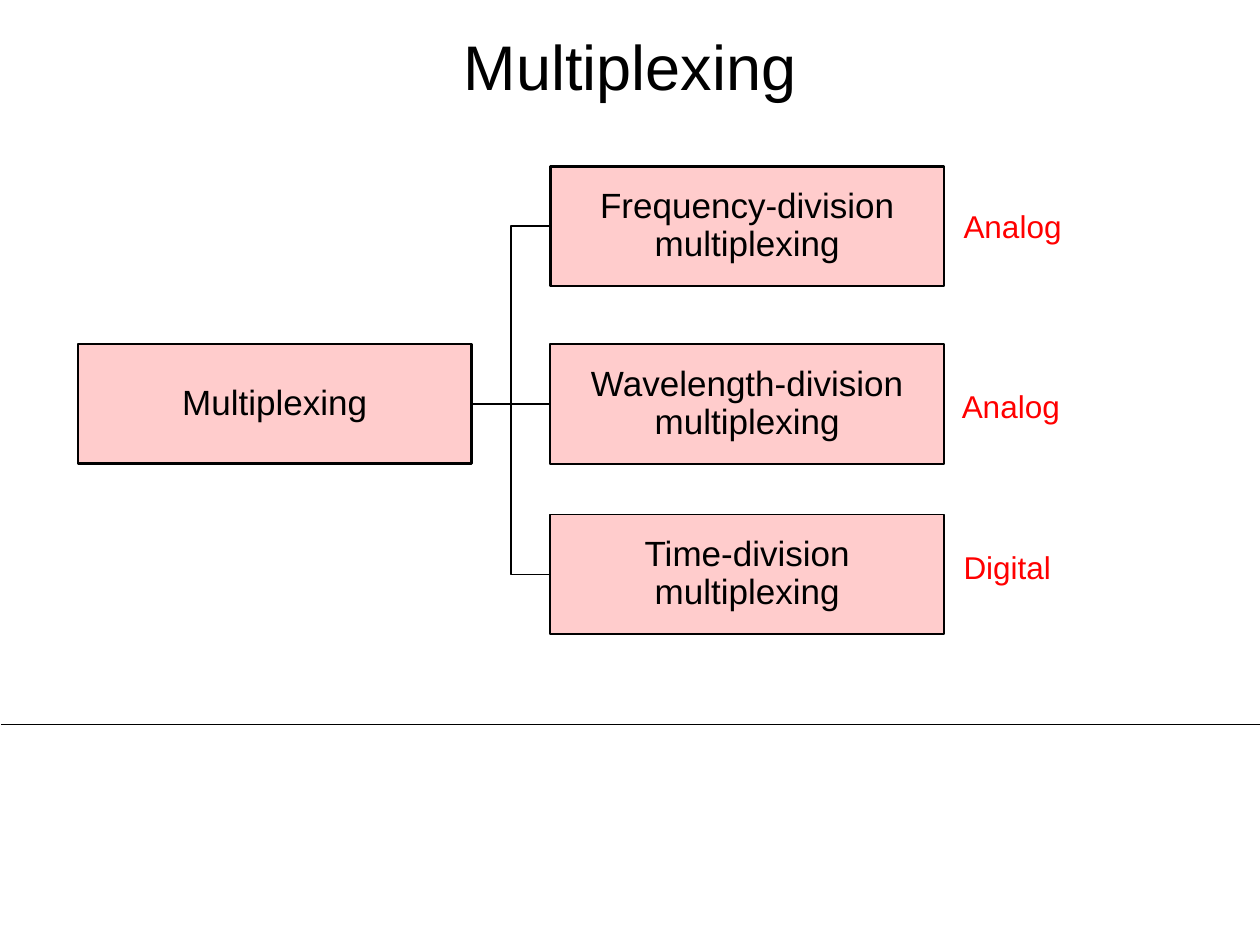
from pptx import Presentation
from pptx.dml.color import RGBColor
from pptx.enum.shapes import MSO_CONNECTOR as Link, MSO_SHAPE as Shape
from pptx.enum.text import MSO_ANCHOR as Anchor, MSO_AUTO_SIZE as Fit, PP_ALIGN as Align
from pptx.oxml.ns import qn
from pptx.util import Pt
from lxml.etree import SubElement

BLACK = RGBColor(0x00, 0x00, 0x00)
RED = RGBColor(0xFF, 0x00, 0x00)
PINK = RGBColor(0xFF, 0xCC, 0xCC)

WIDE, HIGH = 225, 68.5        # box size
ROOT, LEAF = 44.5, 314.5      # left edges of the two columns
MID = 196.5                   # top of the root and the middle leaf

# Text, top, line width, label, label left, label top
KINDS = [
    ("Frequency-division multiplexing", 95, 1.5, "Analog", 543.5, 115),
    ("Wavelength-division multiplexing", MID, 1, "Analog", 542.5, 217.5),
    ("Time-division multiplexing", 294, 1, "Digital", 543.5, 309.5),
]


def write(frame, text, size=20, color=BLACK, align=Align.CENTER,
          anchor=Anchor.MIDDLE, space=0.9, inset=None):
    """Put formatted text in a frame."""
    frame.word_wrap = True
    frame.vertical_anchor = anchor
    if inset is not None:
        frame.margin_left = frame.margin_right = Pt(inset)
        frame.margin_top = frame.margin_bottom = Pt(inset)
    para = frame.paragraphs[0]
    para.alignment = align
    para.line_spacing = space
    run = para.add_run()
    run.text = text
    run.font.name = "Arial"
    run.font.size = Pt(size)
    run.font.color.rgb = color


def add_box(slide, text, left, top, line):
    box = slide.shapes.add_shape(Shape.RECTANGLE, Pt(left), Pt(top), Pt(WIDE), Pt(HIGH))
    box.shadow.inherit = False
    box.fill.solid()
    box.fill.fore_color.rgb = PINK
    box.line.color.rgb = BLACK
    box.line.width = Pt(line)
    write(box.text_frame, text, inset=0.72)
    return box


def add_label(slide, text, left, top):
    label = slide.shapes.add_textbox(Pt(left), Pt(top), Pt(90), Pt(29))
    write(label.text_frame, text, size=18, color=RED, align=Align.LEFT,
          anchor=Anchor.TOP, space=1.0)
    label.text_frame.auto_size = Fit.SHAPE_TO_FIT_TEXT


def add_line(slide, start, end, kind=Link.STRAIGHT, width=1):
    ends = [Pt(n) for n in (*start, *end)]
    line = slide.shapes.add_connector(kind, *ends)
    line.line.color.rgb = BLACK
    line.line.width = Pt(width)
    SubElement(line._element.spPr, qn("a:effectLst"))
    return line


def main():
    deck = Presentation()
    deck.slide_width, deck.slide_height = Pt(720), Pt(540)
    slide = deck.slides.add_slide(deck.slide_layouts[5])

    # Title
    title = slide.shapes.title
    title.left, title.top, title.width, title.height = Pt(30), Pt(12), Pt(660), Pt(56)
    write(title.text_frame, "Multiplexing", size=36)

    # Rule across the slide
    add_line(slide, (0.5, 414), (720.5, 414), width=0.5)

    # Tree: root, then each kind with its link and label
    root = add_box(slide, "Multiplexing", ROOT, MID, 1.5)
    for text, top, width, tag, left, high in KINDS:
        leaf = add_box(slide, text, LEAF, top, width)
        kind = Link.STRAIGHT if top == MID else Link.ELBOW
        link = add_line(slide, (ROOT + WIDE, MID + HIGH / 2), (LEAF, top + HIGH / 2), kind)
        link.begin_connect(root, 3)
        link.end_connect(leaf, 1)
        add_label(slide, tag, left, high)

    deck.save("out.pptx")


if __name__ == "__main__":
    main()
